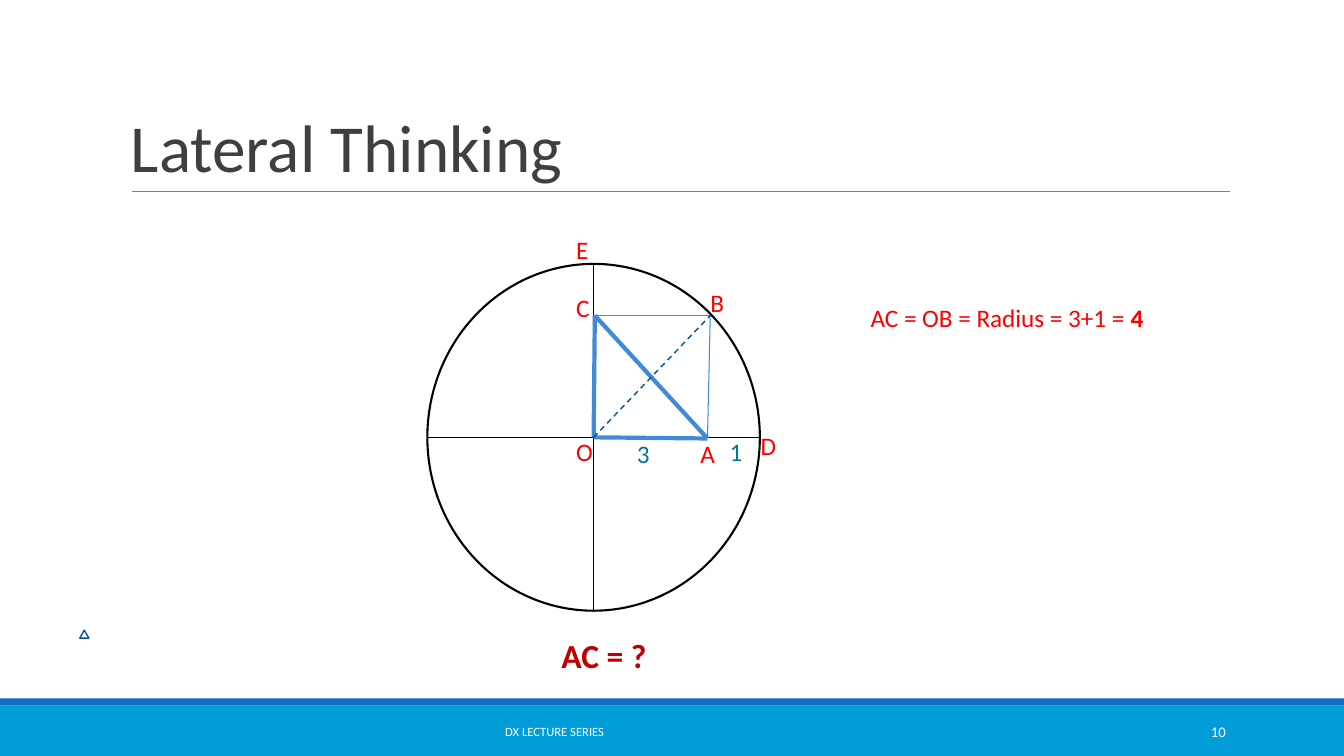
from lxml import etree
from pptx import Presentation
from pptx import util as u
from pptx.dml.color import RGBColor
from pptx.enum import dml, shapes, text
from pptx.oxml.ns import qn

WIDTH, HEIGHT = 33.87, 19.05
RED, TEAL, BLUE, NAVY = "FF0000", "0075A2", "418AD8", "0A5190"


def colour(value):
    return RGBColor.from_string(value)


def add_text(page, box, spans, align="LEFT", anchor="TOP", spacing=None, right_inset=0.25):
    """Write one paragraph; spans holds pairs of wording and font format."""
    left, top, width, height = map(u.Cm, box)
    frame = page.shapes.add_textbox(left, top, width, height).text_frame
    settings = {
        "word_wrap": True,
        "vertical_anchor": text.MSO_ANCHOR[anchor],
        "margin_right": u.Cm(right_inset),
    }
    for name, value in settings.items():
        setattr(frame, name, value)
    para = frame.paragraphs[0]
    para.alignment = text.PP_ALIGN[align]
    para.line_spacing = spacing
    for wording, (size, ink, bold) in spans:
        span = para.add_run()
        span.text = wording
        font_format = {"name": "Calibri", "size": u.Pt(size), "bold": bold}
        for name, value in font_format.items():
            setattr(span.font, name, value)
        span.font.color.rgb = colour(ink)


def add_line(page, start, end, ink, weight, dashed=False):
    line = page.shapes.add_connector(
        shapes.MSO_CONNECTOR.STRAIGHT, *map(u.Cm, (*start, *end)))
    line.line.color.rgb = colour(ink)
    line.line.width = u.Pt(weight)
    if dashed:
        line.line.dash_style = dml.MSO_LINE.DASH
    etree.SubElement(line._element.spPr, qn("a:effectLst"))


def add_figure(page, kind, box, fill=None, ink=None, weight=1):
    figure = page.shapes.add_shape(kind, *map(u.Cm, box))
    figure.shadow.inherit = False
    if fill:
        figure.fill.solid()
        figure.fill.fore_color.rgb = colour(fill)
    else:
        figure.fill.background()
    if ink:
        figure.line.color.rgb = colour(ink)
        figure.line.width = u.Pt(weight)
    else:
        figure.line.fill.background()


def add_footer(page, box):
    left, top, width, height = box
    stripe = 0.18
    rectangle = shapes.MSO_SHAPE.RECTANGLE
    add_figure(page, rectangle, (left, top + stripe, width, height - stripe), "009DD9")
    add_figure(page, rectangle, (left, top, width, stripe), "0F6FC6")
    text_top = top + 0.33
    # The wide right inset moves the series name left of the middle
    add_text(page, (left + 10.24, text_top, 13.39, 1.01),
             [("DX LECTURE SERIES", (9, "FFFFFF", False))],
             "CENTER", "MIDDLE", right_inset=6.17)
    add_text(page, (left + 27.51, text_top, 3.63, 1.01),
             [("10", (10.5, "FFFFFF", False))], "RIGHT", "MIDDLE")


def add_title(page, box):
    left, top, width, height = box
    rule = top + height
    add_line(page, (left + 0.28, rule), (left + width, rule), "7F7F7F", 0.75)
    add_text(page, box, [("Lateral Thinking", (48, "3F3F3F", False))],
             anchor="BOTTOM", spacing=0.85)


def add_circle_puzzle(page, box):
    left, top, width, height = box
    right, bottom = left + width, top + height
    middle, centre = left + width / 2, top + height / 2

    # Circle and its two diameters
    add_figure(page, shapes.MSO_SHAPE.OVAL, box, ink="000000", weight=1.5)
    add_line(page, (left, centre), (right, centre), "000000", 0.75)
    add_line(page, (middle, top), (middle, bottom), "000000", 0.75)

    # Rectangle OABC with its diagonals
    point_o = (middle, centre)
    point_a = (left + 7.06, centre + 0.03)
    point_b = (left + 7.13, top + 1.3)
    point_c = (middle + 0.03, top + 1.3)
    for start, end, weight in [
        (point_o, point_c, 3), (point_c, point_b, 0.75), (point_b, point_a, 0.75),
        (point_o, point_a, 3), (point_c, point_a, 3),
    ]:
        add_line(page, start, end, BLUE, weight)
    add_line(page, point_o, point_b, NAVY, 1, dashed=True)

    # Point names and lengths
    for label, across, down, ink in [
        ("O", 3.5, 4.22, RED), ("A", 6.63, 4.27, RED), ("B", 6.88, 0.46, RED),
        ("C", 3.5, 0.59, RED), ("E", 3.5, -0.88, RED), ("D", 8.15, 4.07, RED),
        ("1", 7.37, 4.22, TEAL), ("3", 5.03, 4.27, TEAL),
    ]:
        add_text(page, (left + across, top + down, 1, 1.02), [(label, (18, ink, False))])

    # Question below the circle
    add_text(page, (left + 1.63, bottom + 0.48, 5.64, 1.28),
             [("AC = ?", (24, "C00000", True))], "CENTER")


def add_answer(page, box):
    add_text(page, box, [("AC = OB = Radius = 3+1 = ", (18, RED, False)),
                         ("4", (18, RED, True))])


def main():
    deck = Presentation()
    deck.slide_width, deck.slide_height = u.Cm(WIDTH), u.Cm(HEIGHT)
    page = deck.slides.add_slide(deck.slide_layouts[6])
    add_footer(page, (0, 17.6, WIDTH, HEIGHT - 17.6))
    add_title(page, (3.05, 0.79, 27.94, 4.04))
    add_answer(page, (21.69, 7.49, 8.66, 1.02))
    add_circle_puzzle(page, (10.77, 6.65, 8.38, 8.74))
    # Small marker at the lower left
    add_figure(page, shapes.MSO_SHAPE.ISOSCELES_TRIANGLE, (2.01, 15.88, 0.23, 0.2), ink=NAVY)
    deck.save("out.pptx")


if __name__ == "__main__":
    main()
